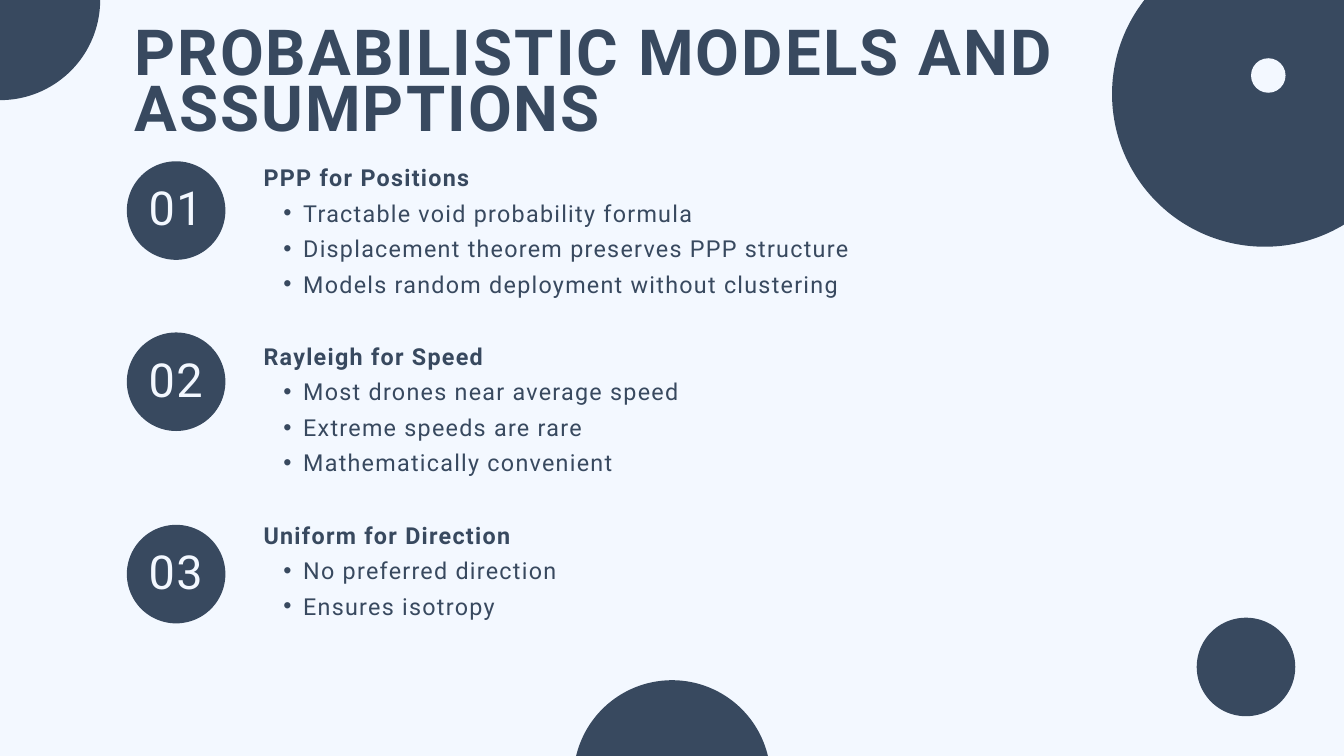
from lxml import etree
from pptx import Presentation
from pptx.dml.color import RGBColor
from pptx.enum import shapes, text
from pptx.oxml import ns
from pptx.util import Pt

NAVY = RGBColor(0x38, 0x49, 0x5F)
PALE = RGBColor(0xF3, 0xF8, 0xFF)
FONT = "Roboto"


def disc(x, y, size, color):
    oval = slide.shapes.add_shape(
        shapes.MSO_SHAPE.OVAL, Pt(x), Pt(y), Pt(size), Pt(size))
    oval.shadow.inherit = False
    oval.fill.solid()
    oval.fill.fore_color.rgb = color
    oval.line.fill.background()


def write(x, y, wide, high, words, size, color, lead, gap, bold, align):
    box = slide.shapes.add_textbox(Pt(x), Pt(y), Pt(wide), Pt(high))
    frame = box.text_frame
    frame.margin_left = frame.margin_right = 0
    frame.margin_top = frame.margin_bottom = 0
    frame.word_wrap = True
    frame.text = words
    for i, para in enumerate(frame.paragraphs):
        para.alignment = align
        para.line_spacing = Pt(lead)
        if i:
            para.level = 1
            props = para._p.get_or_add_pPr()
            props.set("marL", str(Pt(42.5)))
            props.set("indent", str(Pt(-21.25)))
            face = etree.SubElement(props, ns.qn("a:buFont"))
            face.set("typeface", "Arial")
            mark = etree.SubElement(props, ns.qn("a:buChar"))
            mark.set("char", "•")
        for run in para.runs:
            run.font.name = FONT
            run.font.size = Pt(size)
            run.font.bold = bold and i == 0
            run.font.color.rgb = color
            run._r.get_or_add_rPr().set("spc", str(round(gap * 100)))


deck = Presentation()
deck.slide_width = Pt(1440)
deck.slide_height = Pt(810)
slide = deck.slides.add_slide(deck.slide_layouts[6])
slide.background.fill.solid()
slide.background.fill.fore_color.rgb = PALE

for x, y, size, color in [
    (1191.5, -62.9, 327.3, NAVY),
    (1282.2, 661.8, 105.6, NAVY),
    (-107.3, -107.3, 214.6, NAVY),
    (614.4, 728.8, 211.2, NAVY),
    (1340.4, 62.4, 37, PALE),
]:
    disc(x, y, size, color)

write(144, 33.8, 1052.6, 126, "PROBABILISTIC MODELS AND ASSUMPTIONS",
      68.1, NAVY, 60.6, 2.3, True, text.PP_ALIGN.LEFT)

items = [
    (172.8, 167, ["PPP for Positions",
                  "Tractable void probability formula",
                  "Displacement theorem preserves PPP structure",
                  "Models random deployment without clustering"]),
    (356.2, 358.6, ["Rayleigh for Speed",
                    "Most drones near average speed",
                    "Extreme speeds are rare",
                    "Mathematically convenient"]),
    (562.3, 550.1, ["Uniform for Direction",
                    "No preferred direction",
                    "Ensures isotropy"]),
]
for n, (top, y, lines) in enumerate(items, 1):
    disc(135.9, top, 105.6, NAVY)
    write(143.3, top + 34.6, 90, 47.5, f"{n:02}",
          50.2, PALE, 44.7, 1.7, False, text.PP_ALIGN.CENTER)
    write(282.4, y, 874, 38 * len(lines), "\n".join(lines),
          25, NAVY, 38, 1.4, True, text.PP_ALIGN.JUSTIFY)

deck.save("out.pptx")
